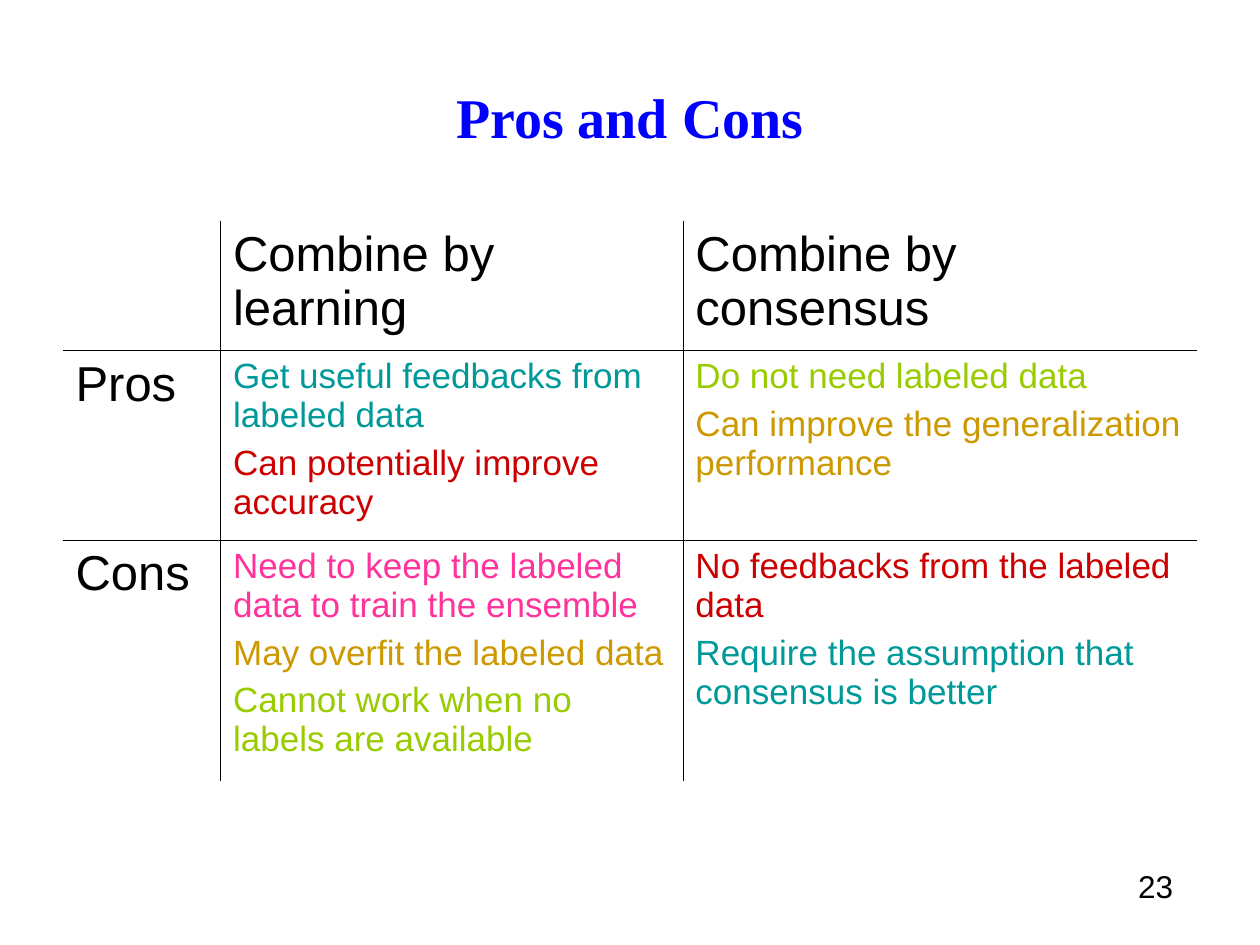
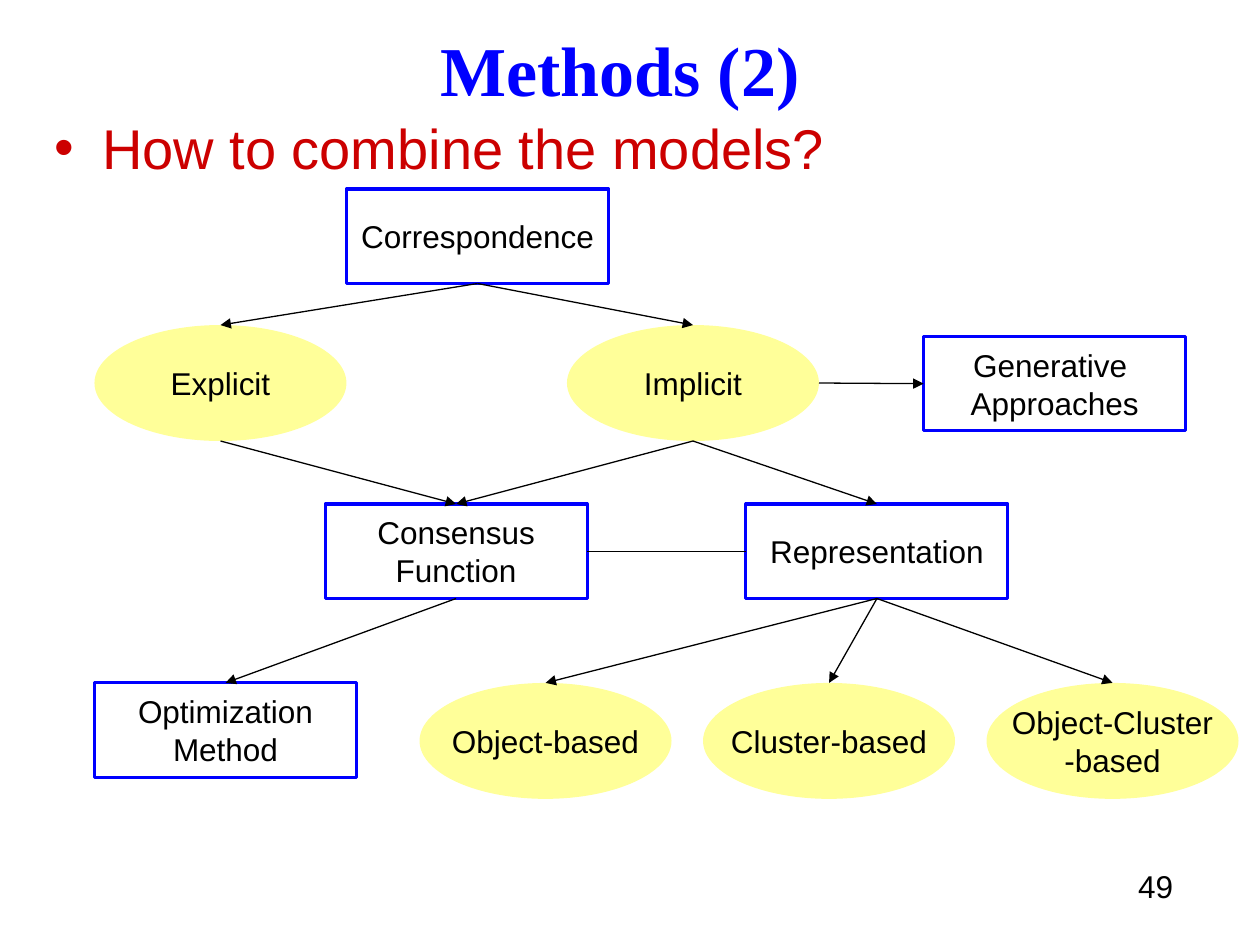
from lxml.etree import SubElement
from pptx import Presentation
from pptx.dml.color import RGBColor
from pptx.enum.shapes import MSO_CONNECTOR, MSO_SHAPE
from pptx.enum.text import MSO_ANCHOR, MSO_AUTO_SIZE, PP_ALIGN
from pptx.oxml import parse_xml
from pptx.oxml.ns import nsdecls, qn
from pptx.util import Inches, Pt

COLORS = {
    "black": "000000", "blue": "0000FF", "yellow": "FFFF99", "red": "CC0000",
    "teal": "009999", "lime": "99CC00", "gold": "CC9900", "pink": "FF3399",
}
BOX = (2.08, 0.75)
OVAL = (2, 0.92)

HEADS = ["", "Combine by learning", "Combine by consensus"]
ROWS = {
    "Pros": [
        [("Get useful feedbacks from labeled data", "teal"),
         ("Can potentially improve accuracy", "red")],
        [("Do not need labeled data", "lime"),
         ("Can improve the generalization performance", "gold")],
    ],
    "Cons": [
        [("Need to keep the labeled data to train the ensemble", "pink"),
         ("May overfit the labeled data", "gold"),
         ("Cannot work when no labels are available", "lime")],
        [("No feedbacks from the labeled data", "red"),
         ("Require the assumption that consensus is better", "teal")],
    ],
}

# name: (left, top, size, lines of text)
NODES = {
    "match": (2.75, 1.5, BOX, ["Correspondence"]),
    "explicit": (0.75, 2.58, OVAL, ["Explicit"]),
    "implicit": (4.5, 2.58, OVAL, ["Implicit"]),
    "model": (7.33, 2.67, BOX, ["Generative ", "Approaches"]),
    "vote": (2.58, 4, BOX, ["Consensus", "Function"]),
    "form": (5.92, 4, BOX, ["Representation"]),
    "method": (0.75, 5.42, BOX, ["Optimization", "Method"]),
    "object": (3.33, 5.42, OVAL, ["Object-based"]),
    "cluster": (5.58, 5.42, OVAL, ["Cluster-based"]),
    "mixed": (7.83, 5.42, OVAL, ["Object-Cluster", "-based"]),
}
DOWN = [
    ("match", "explicit"), ("match", "implicit"), ("explicit", "vote"),
    ("implicit", "vote"), ("implicit", "form"), ("vote", "method"),
    ("form", "object"), ("form", "cluster"), ("form", "mixed"),
]


def rgb(name):
    return RGBColor.from_string(COLORS[name])


def assign(item, **values):
    for key, value in values.items():
        setattr(item, key, value)


def place(shape, left, top, width, height):
    assign(shape, left=Inches(left), top=Inches(top),
           width=Inches(width), height=Inches(height))


def write(frame, lines, size, gap=0, align=PP_ALIGN.LEFT, face="Arial", bold=False):
    """Fill a text frame with (text, colour) lines, spaced by gap points."""
    for i, (text, color) in enumerate(lines):
        para = frame.paragraphs[0] if i == 0 else frame.add_paragraph()
        assign(para, text=text, alignment=align, space_before=Pt(gap if i else 0))
        assign(para.font, name=face, size=Pt(size), bold=bold)
        para.font.color.rgb = rgb(color)


def add_title(slide, text, area, size):
    title = slide.shapes.title
    place(title, *area)
    assign(title.text_frame, auto_size=MSO_AUTO_SIZE.NONE,
           vertical_anchor=MSO_ANCHOR.MIDDLE)
    write(title.text_frame, [(text, "blue")], size,
          align=PP_ALIGN.CENTER, face="Times New Roman", bold=True)


def add_number(slide, number):
    box = slide.shapes.add_textbox(0, 0, 0, 0)
    place(box, 7.08, 6.83, 2.33, 0.52)
    box.text_frame.word_wrap = True
    write(box.text_frame, [(str(number), "black")], 18, align=PP_ALIGN.RIGHT)


def add_bullet(slide, text, color):
    body = slide.placeholders[1]
    place(body, 0.33, 0.75, 9.5, 6.25)
    frame = body.text_frame
    assign(frame, auto_size=MSO_AUTO_SIZE.NONE, margin_top=Inches(0.1))
    para = frame.paragraphs[0]
    props = para._p.get_or_add_pPr()
    props.set("marL", str(Inches(0.38)))
    props.set("indent", str(-Inches(0.38)))
    tint = SubElement(props, qn("a:buClr"))
    SubElement(tint, qn("a:srgbClr")).set("val", COLORS[color])
    SubElement(props, qn("a:buChar")).set("char", "•")
    write(frame, [(text, color)], 32)
    para.line_spacing = 1.1


def rule_cell(cell, sides):
    """Draw thin black borders on the given sides and none elsewhere."""
    cell.fill.background()
    props = cell._tc.get_or_add_tcPr()
    for i, side in enumerate("LRTB"):
        fill = "<a:noFill/>"
        if side in sides:
            fill = f'<a:solidFill><a:srgbClr val="{COLORS["black"]}"/></a:solidFill>'
        props.insert(i, parse_xml(
            f'<a:ln{side} {nsdecls("a")} w="{Pt(0.45)}">{fill}</a:ln{side}>'))


def add_grid(slide):
    """Table ruled on its inner edges only."""
    shape = slide.shapes.add_table(3, 3, Inches(0.5), Inches(1.75),
                                   Inches(9), Inches(4.44))
    table = shape.table
    assign(table, first_row=False, horz_banding=False)
    for col, width in zip(table.columns, [1.25, 3.67, 4.08]):
        col.width = Inches(width)
    for row, height in zip(table.rows, [1.03, 1.5, 1.91]):
        row.height = Inches(height)
    rows = [[[(head, "black")] for head in HEADS]]
    rows += [[[(name, "black")], *cells] for name, cells in ROWS.items()]
    for r, row in enumerate(rows):
        for c, lines in enumerate(row):
            cell = table.cell(r, c)
            write(cell.text_frame, lines, 20 if r and c else 28, gap=5)
            rule_cell(cell, "L" * (c > 0) + "R" * (c < 2)
                      + "T" * (r > 0) + "B" * (r < 2))


def add_node(slide, left, top, size, lines):
    kind = MSO_SHAPE.RECTANGLE if size == BOX else MSO_SHAPE.OVAL
    node = slide.shapes.add_shape(kind, 0, 0, 0, 0)
    place(node, left, top, *size)
    node.shadow.inherit = False
    if size == BOX:
        node.fill.background()
        node.line.color.rgb = rgb("blue")
        node.line.width = Pt(1.75)
    else:
        node.fill.solid()
        node.fill.fore_color.rgb = rgb("yellow")
        node.line.fill.background()
    assign(node.text_frame, word_wrap=False, vertical_anchor=MSO_ANCHOR.MIDDLE)
    write(node.text_frame, [(text, "black") for text in lines], 18,
          align=PP_ALIGN.CENTER)
    return node


def spot(node, side):
    """Middle point of one side of a node."""
    x, y = {"top": (0.5, 0), "bottom": (0.5, 1),
            "left": (0, 0.5), "right": (1, 0.5)}[side]
    return int(node.left + x * node.width), int(node.top + y * node.height)


def add_link(slide, start, end, arrow=True):
    line = slide.shapes.add_connector(MSO_CONNECTOR.STRAIGHT, *start, *end)
    line.line.color.rgb = rgb("black")
    line.line.width = Pt(0.75)
    if arrow:
        SubElement(line.line._get_or_add_ln(), qn("a:tailEnd")).set("type", "triangle")
    SubElement(line._element.spPr, qn("a:effectLst"))


def add_chart_of_methods(slide):
    nodes = {name: add_node(slide, *values) for name, values in NODES.items()}
    for start, end in DOWN:
        add_link(slide, spot(nodes[start], "bottom"), spot(nodes[end], "top"))
    for start, end, arrow in [("implicit", "model", True), ("vote", "form", False)]:
        add_link(slide, spot(nodes[start], "right"), spot(nodes[end], "left"), arrow)


def main():
    deck = Presentation()
    assign(deck, slide_width=Inches(10), slide_height=Inches(7.5))

    slide = deck.slides.add_slide(deck.slide_layouts[5])
    add_number(slide, 23)
    add_title(slide, "Pros and Cons", (0.5, 0.3, 9, 1.25), 32)
    add_grid(slide)

    slide = deck.slides.add_slide(deck.slide_layouts[1])
    add_number(slide, 49)
    add_title(slide, "Methods (2)", (0.42, 0.08, 9, 0.92), 40)
    add_bullet(slide, "How to combine the models?", "red")
    add_chart_of_methods(slide)

    deck.save("out.pptx")


if __name__ == "__main__":
    main()
